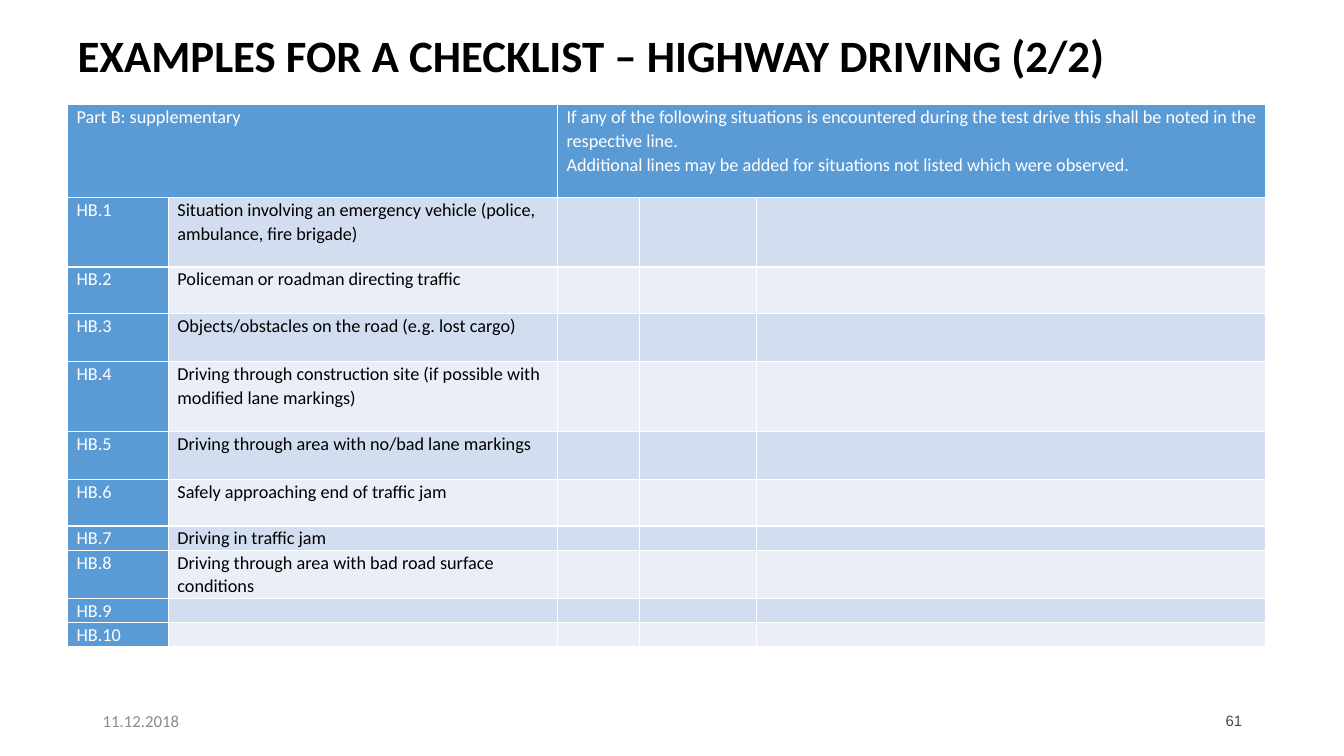
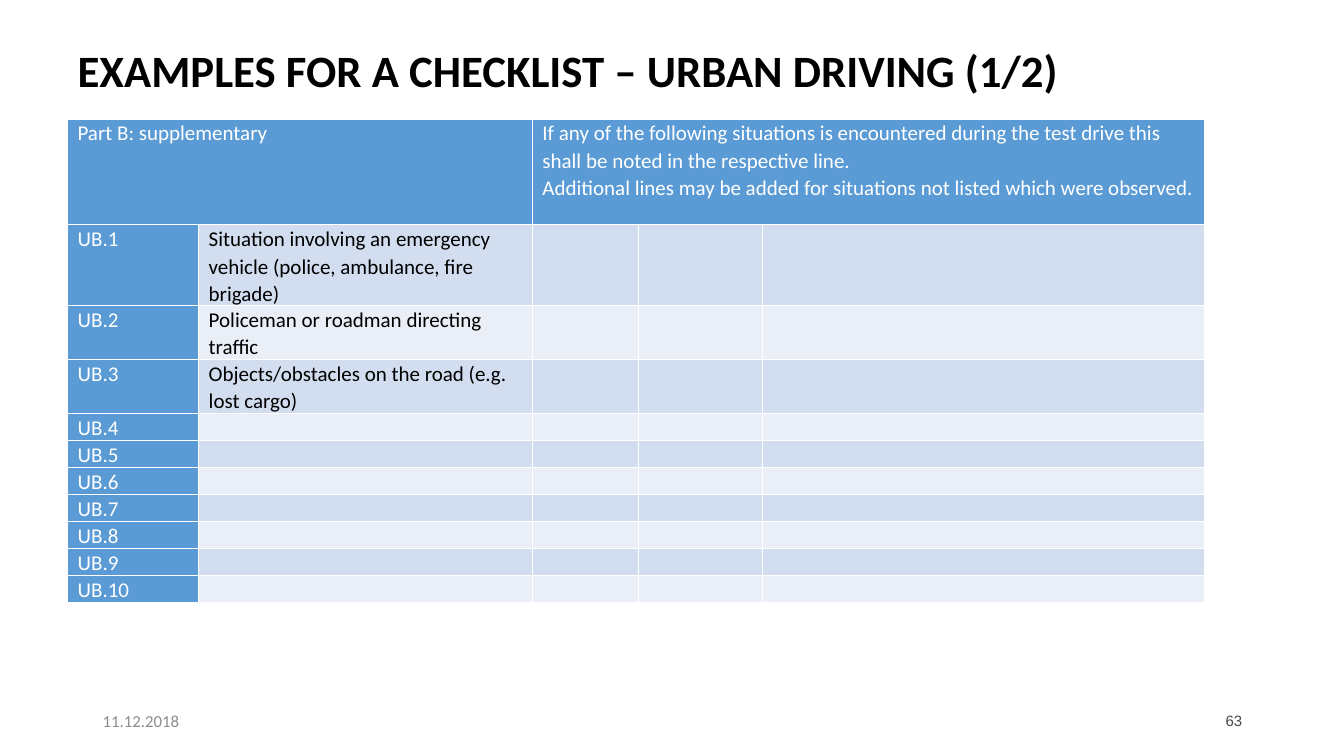
from lxml import etree
from pptx import Presentation
from pptx.dml.color import RGBColor
from pptx.enum import text
from pptx.oxml.ns import qn
from pptx.util import Inches, Pt

COLORS = {
    "black": "000000", "white": "FFFFFF", "header": "5B9BD5",
    "odd": "D2DEEF", "even": "EAEFF7", "date": "8C8C8C", "number": "474847",
}
DATE = "11.12.2018"
LEFT = 0.67
HEADER = ["Part B: supplementary"]
INSTRUCTIONS = [
    "If any of the following situations is encountered during the test drive "
    "this shall be noted in the respective line.",
    "Additional lines may be added for situations not listed which were observed.",
]
SITUATIONS = [
    "Situation involving an emergency vehicle (police, ambulance, fire brigade)",
    "Policeman or roadman directing traffic",
    "Objects/obstacles on the road (e.g. lost cargo)",
    "Driving through construction site (if possible with modified lane markings)",
    "Driving through area with no/bad lane markings",
    "Safely approaching end of traffic jam",
    "Driving in traffic jam",
    "Driving through area with bad road surface conditions",
]
CHECKLISTS = [
    {
        "title": "EXAMPLES FOR A CHECKLIST – HIGHWAY DRIVING (2/2)",
        "title_top": 0.38, "title_height": 0.39, "number": "61",
        "prefix": "HB", "situations": SITUATIONS,
        "top": 1.04, "size": 13, "margin": 0.09,
        "columns": [1, 3.86, 0.81, 1.16, 5.05],
        "rows": [0.92, 0.69, 0.46, 0.48, 0.69, 0.48, 0.46, 0.24, 0.48, 0.24, 0.24],
    },
    {
        "title": "EXAMPLES FOR A CHECKLIST – URBAN DRIVING (1/2)",
        "title_top": 0.44, "title_height": 0.56, "number": "63",
        "prefix": "UB", "situations": SITUATIONS[:3],
        "top": 1.18, "size": 15, "margin": 0.1,
        "columns": [1.3, 3.31, 1.05, 1.23, 4.39],
        "rows": [1.05, 0.78, 0.52, 0.52] + [0.26] * 7,
    },
]


def style_font(font, size, color, name="Calibri", bold=False):
    font.size, font.name, font.bold = Pt(size), name, bold
    font.color.rgb = RGBColor.from_string(COLORS[color])


def add_title(slide, checklist):
    title = slide.shapes.title
    title.left, title.top = Inches(LEFT), Inches(checklist["title_top"])
    title.width, title.height = Inches(11.5), Inches(checklist["title_height"])
    frame = title.text_frame
    frame.text = checklist["title"]
    frame.auto_size = text.MSO_AUTO_SIZE.NONE
    frame.vertical_anchor = text.MSO_ANCHOR.MIDDLE
    paragraph = frame.paragraphs[0]
    paragraph.alignment = text.PP_ALIGN.LEFT
    paragraph.line_spacing = 0.9
    style_font(paragraph.font, 32, "black", bold=True)


def add_footer(slide, number):
    items = [
        (0.92, DATE, text.PP_ALIGN.LEFT, 12, "date", "Calibri"),
        (9.42, number, text.PP_ALIGN.RIGHT, 10.7, "number", "Arial"),
    ]
    for left, words, alignment, size, color, name in items:
        box = slide.shapes.add_textbox(Inches(left), Inches(6.95), Inches(3), Inches(0.4))
        frame = box.text_frame
        frame.word_wrap = True
        frame.vertical_anchor = text.MSO_ANCHOR.MIDDLE
        frame.text = words
        frame.paragraphs[0].alignment = alignment
        style_font(frame.paragraphs[0].font, size, color, name)


def add_borders(cell):
    """Draw a white one-point line on each side; borders precede the fill in XML."""
    properties = cell._tc.get_or_add_tcPr()
    for position, side in enumerate(("lnL", "lnR", "lnT", "lnB")):
        line = etree.Element(qn(f"a:{side}"), w=str(Pt(1)))
        fill = etree.SubElement(line, qn("a:solidFill"))
        etree.SubElement(fill, qn("a:srgbClr"), val=COLORS["white"])
        properties.insert(position, line)


def fill_cell(cell, lines, background, color, size, margin):
    cell.margin_left = cell.margin_right = Inches(margin)
    cell.margin_top = cell.margin_bottom = 0
    cell.fill.solid()
    cell.fill.fore_color.rgb = RGBColor.from_string(COLORS[background])
    add_borders(cell)
    cell.text_frame.text = "\n".join(lines)
    for paragraph in cell.text_frame.paragraphs:
        paragraph.line_spacing = 1.07
        style_font(paragraph.font, size, color)
        etree.SubElement(paragraph._p, qn("a:endParaRPr"), sz=str(size * 100))


def add_checklist(slide, checklist):
    columns, rows = checklist["columns"], checklist["rows"]
    table = slide.shapes.add_table(
        len(rows), len(columns), Inches(LEFT), Inches(checklist["top"]),
        Inches(sum(columns)), Inches(sum(rows))).table
    table.first_row = table.horz_banding = False
    for column, width in zip(table.columns, columns):
        column.width = Inches(width)
    for row, height in zip(table.rows, rows):
        row.height = Inches(height)

    contents = [[HEADER, [], INSTRUCTIONS, [], []]]
    for number in range(1, len(rows)):
        situation = checklist["situations"][number - 1:number]
        contents.append([[f"{checklist['prefix']}.{number}"], situation, [], [], []])
    for row, cells in enumerate(contents):
        for column, lines in enumerate(cells):
            is_header = row == 0 or column == 0
            background = "header" if is_header else "odd" if row % 2 else "even"
            fill_cell(table.cell(row, column), lines, background,
                      "white" if is_header else "black",
                      checklist["size"], checklist["margin"])
    table.cell(0, 0).merge(table.cell(0, 1))
    table.cell(0, 2).merge(table.cell(0, 4))


def main():
    presentation = Presentation()
    presentation.slide_width, presentation.slide_height = Inches(13.33), Inches(7.5)
    for checklist in CHECKLISTS:
        slide = presentation.slides.add_slide(presentation.slide_layouts[5])
        add_title(slide, checklist)
        add_footer(slide, checklist["number"])
        add_checklist(slide, checklist)
    presentation.save("out.pptx")


if __name__ == "__main__":
    main()
